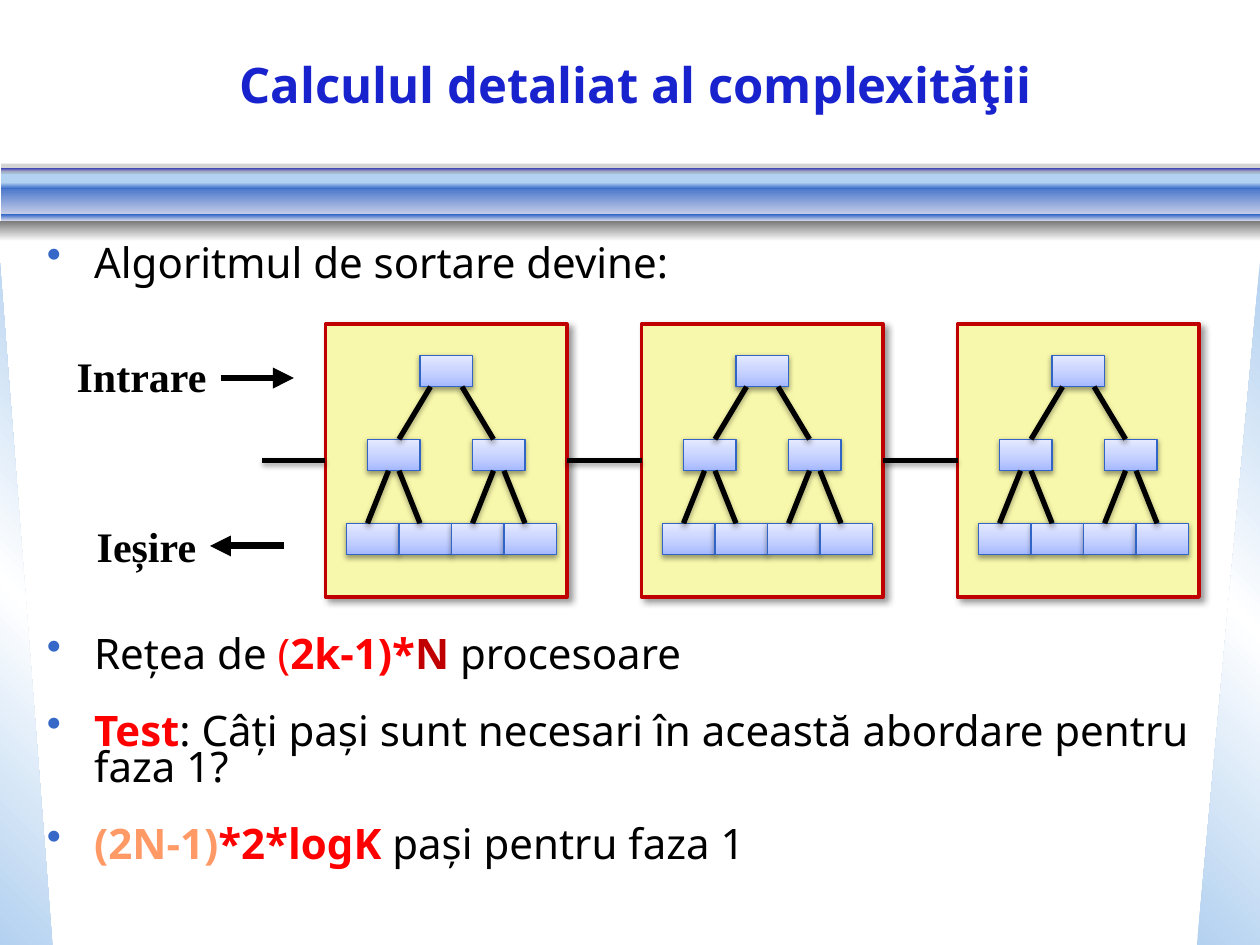
from lxml.etree import SubElement
from pptx import Presentation
from pptx.dml.color import RGBColor
from pptx.enum.shapes import MSO_CONNECTOR as Connector, MSO_SHAPE as Shape
from pptx.enum.text import MSO_ANCHOR as Anchor, PP_ALIGN as Align
from pptx.oxml.ns import qn
from pptx.util import Pt

COLORS = {
    "black": "000000", "white": "FFFFFF", "title": "1822CD", "red": "FF0000",
    "dark_red": "C00000", "orange": "FF9966", "blue": "3568C7", "sky": "B3D1F0",
    "pale": "CAD0E9", "lilac": "BABBE7", "gray": "777777", "panel": "F8F8AC",
    "node_low": "A5B8FF", "node_mid": "BFCCFF", "node_high": "E7EBFF",
    "node_line": "3065C6",
}
RGB = {name: RGBColor.from_string(value) for name, value in COLORS.items()}
# Opacity %, blur, distance, direction
PANEL_SHADOW = (40, 4, 3, 45)
NODE_SHADOW = (38, 3.1, 1.6, 90)
LINE_SHADOW = (35, 3.1, 1.8, 90)


def finish(item, outline=None, width=1, shadow=None):
    """Set the outline and replace the theme shadow by the given one, if any."""
    if outline:
        item.line.color.rgb = RGB[outline]
        item.line.width = Pt(width)
    else:
        item.line.fill.background()
    effects = SubElement(item._element.spPr, qn("a:effectLst"))
    if shadow:
        opacity, blur, distance, direction = shadow
        outer = SubElement(effects, qn("a:outerShdw"), blurRad=str(Pt(blur)),
                           dist=str(Pt(distance)), dir=str(direction * 60000), rotWithShape="0")
        tone = SubElement(outer, qn("a:srgbClr"), val=COLORS["black"])
        SubElement(tone, qn("a:alpha"), val=str(opacity * 1000))
    return item


def add_block(shapes, kind, frame, stops, angle=90):
    """Add a shape filled with one colour or a gradient of (percent, colour) stops."""
    block = shapes.add_shape(kind, *map(Pt, frame))
    if isinstance(stops, str):
        block.fill.solid()
        block.fill.fore_color.rgb = RGB[stops]
        return block
    block.fill.gradient()
    block.fill.gradient_angle = (360 - angle) % 360
    stop_list = block._element.spPr.find(".//" + qn("a:gsLst"))
    stop_list.clear()
    for percent, color in stops:
        stop = SubElement(stop_list, qn("a:gs"), pos=str(percent * 1000))
        SubElement(stop, qn("a:srgbClr"), val=COLORS[color])
    return block


deck = Presentation()
deck.slide_width, deck.slide_height = Pt(720), Pt(540)
page = deck.slides.add_slide(deck.slide_layouts[6])

# Side wedges
wedge_stops = [(0, "sky"), (50, "white"), (100, "sky")]
finish(add_block(page.shapes, Shape.RIGHT_TRIANGLE, (0, 150, 30, 390), wedge_stops, 315))
right_wedge = finish(add_block(page.shapes, Shape.RIGHT_TRIANGLE, (684, 150, 36, 390),
                               wedge_stops, 45))
right_wedge._element.spPr.find(qn("a:xfrm")).set("flipH", "1")

# Header band
bands = page.shapes.add_group_shape().shapes
for left, top, height, stops in [
    (0.7, 98, 7, "sky"),
    (0.7, 105, 18, [(0, "blue"), (100, "pale")]),
    (0.7, 96, 2, [(0, "title"), (100, "lilac")]),
    (0.7, 122.6, 3.4, [(0, "blue"), (100, "pale")]),
    (0.7, 104.3, 3.7, [(0, "sky"), (100, "blue")]),
    (0, 126, 12, [(0, "gray"), (100, "white")]),
    (0.7, 93.5, 5.7, "gray"),
]:
    band = finish(add_block(bands, Shape.RECTANGLE, (left, top, 720 - left, height), stops))
veil = band._element.spPr.find(".//" + qn("a:srgbClr"))
SubElement(veil, qn("a:alpha"), val="31000")

# Body text: (space before, space after, [(text, colour, bold)])
body = page.shapes.add_textbox(Pt(19.7), Pt(139.3), Pt(674.6), Pt(385)).text_frame
body.word_wrap = True
bullets = [
    (0, 6, [("Algoritmul de sortare devine:", "black", False)]),
    (197.5, 12, [("Rețea de ", "black", False), ("(", "red", False), ("2k-1)*", "red", True),
                 ("N ", "dark_red", True), ("procesoare", "black", False)]),
    (12, 12, [("Test", "red", True),
              (": Câți pași sunt necesari în această abordare pentru faza 1?", "black", False)]),
    (12, 12, [("(2N-1)", "orange", True), ("*2*logK", "red", True),
              (" pași pentru faza 1", "black", False)]),
]
for index, (before, after, spans) in enumerate(bullets):
    para = body.add_paragraph() if index else body.paragraphs[0]
    para.line_spacing = 0.7
    para.space_before, para.space_after = Pt(before), Pt(after)
    layout = para._p.get_or_add_pPr()
    layout.set("marL", str(Pt(27)))
    layout.set("indent", str(Pt(-27)))
    SubElement(SubElement(layout, qn("a:buClr")), qn("a:srgbClr"), val=COLORS["blue"])
    SubElement(layout, qn("a:buChar"), char="•")
    for text, color, bold in spans:
        span = para.add_run()
        span.text = text
        span.font.name, span.font.size, span.font.bold = "Noto Sans", Pt(24), bold
        span.font.color.rgb = RGB[color]

# Title and labels
for text, frame, font, size, color, centered in [
    ("Calculul detaliat al complexităţii", (12, 6, 702, 84), "Noto Sans", 28, "title", True),
    ("Intrare", (36.7, 196.6, 89.3, 36.9), "Times New Roman", 24, "black", False),
    ("Ieșire", (48.2, 294, 72, 36.9), "Times New Roman", 24, "black", False),
]:
    box = page.shapes.add_textbox(*map(Pt, frame)).text_frame
    box.word_wrap = centered
    box.text = text
    if centered:
        box.vertical_anchor = Anchor.MIDDLE
        box.paragraphs[0].alignment = Align.CENTER
    span = box.paragraphs[0].runs[0]
    span.font.name, span.font.size, span.font.bold = font, Pt(size), True
    span.font.color.rgb = RGB[color]

# Input and output arrows
for start, end, height in [(126, 168, 216), (162, 120, 312)]:
    arrow = finish(page.shapes.add_connector(
        Connector.STRAIGHT, Pt(start), Pt(height), Pt(end), Pt(height)), "black", 4)
    SubElement(arrow._element.spPr.find(qn("a:ln")), qn("a:tailEnd"), type="triangle")

# Three panels, each with a binary tree; places are relative to the panel's left side
node_stops = [(0, "node_low"), (35, "node_mid"), (100, "node_high")]
root_top, middle_top, leaf_top, node_width, node_height = 203, 251, 299, 30, 18
nodes = [(12 + 30 * leaf, leaf_top) for leaf in range(4)]
nodes += [(24, middle_top), (84, middle_top), (54, root_top)]
edges = [(24 + 30 * leaf, leaf_top, foot, middle_top + node_height)
         for leaf, foot in enumerate((36, 42, 96, 102))]
edges += [(42, middle_top, 60, root_top + node_height),
          (96, middle_top, 78, root_top + node_height)]
panels = []
for index in range(3):
    left = 186 + 180.6 * index
    tree = page.shapes.add_group_shape().shapes
    panel = add_block(tree, Shape.RECTANGLE, (left, 185.2, 138, 156), "panel")
    panels.append(finish(panel, "dark_red", 2, PANEL_SHADOW))
    for x, y in nodes:
        node = add_block(tree, Shape.RECTANGLE, (left + x, y, node_width, node_height),
                         node_stops, 270)
        finish(node, "node_line", 0.75, NODE_SHADOW)
    for x1, y1, x2, y2 in edges:
        edge = tree.add_connector(Connector.STRAIGHT, Pt(left + x1), Pt(y1),
                                  Pt(left + x2), Pt(y2))
        finish(edge, "black", 3, LINE_SHADOW)

# Chain through the panels
for previous, panel in zip([None] + panels, panels):
    link = page.shapes.add_connector(Connector.STRAIGHT, Pt(150), Pt(263.2), Pt(186), Pt(263.2))
    if previous:
        link.begin_connect(previous, 3)
    link.end_connect(panel, 1)
    finish(link, "black", 3, LINE_SHADOW)

deck.save("out.pptx")
